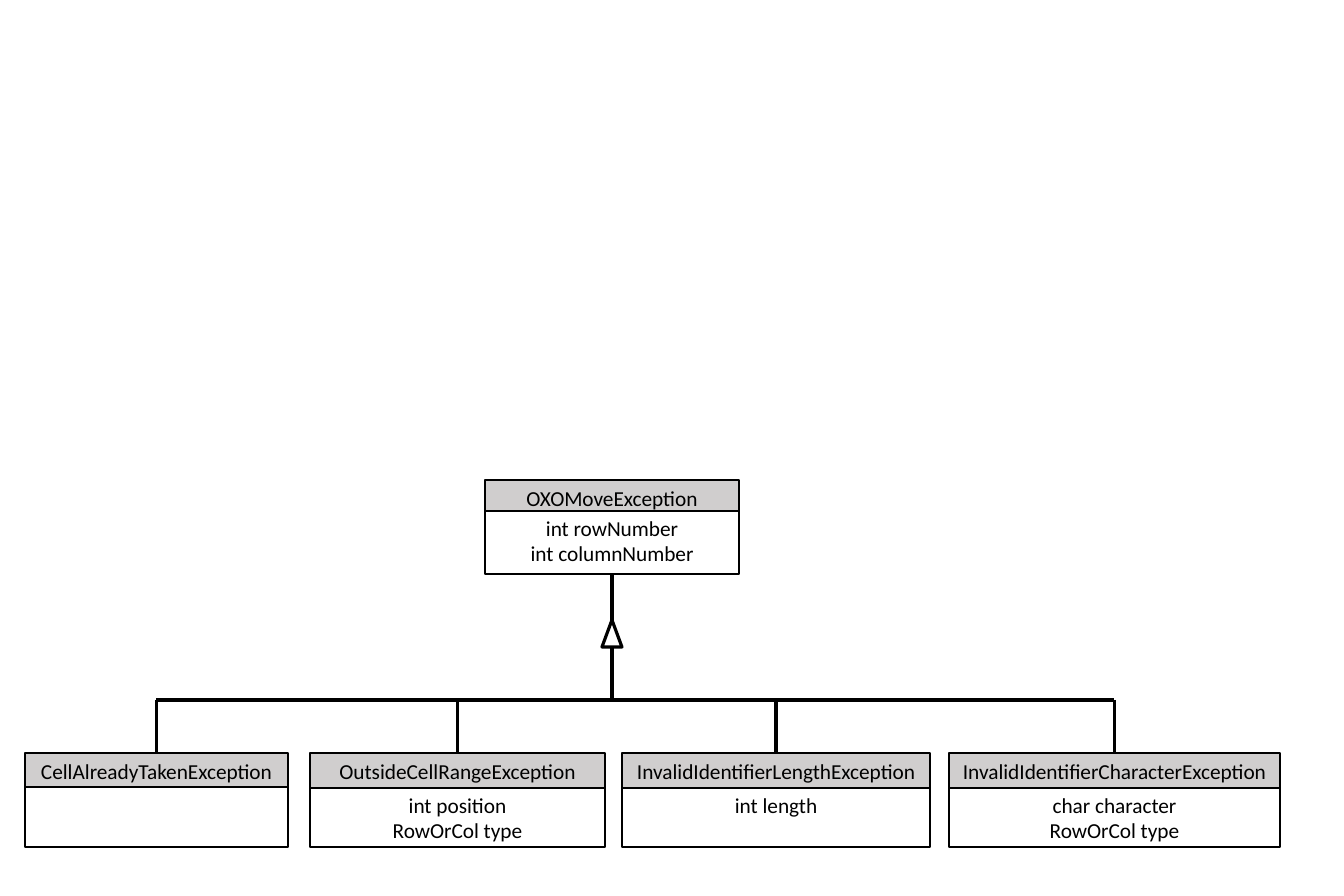
import pptx
import pptx.util
import pptx.dml.color
import pptx.enum.shapes
import pptx.enum.text
import pptx.oxml
import pptx.oxml.ns

SCALE = 914400 / 113.8
COLORS = {"header": "D0CECE", "body": "FFFFFF", "ink": "000000"}
PARENT_BOX = (485, 480, 254, 94)
PARENT_FIELDS = ["int rowNumber", "int columnNumber"]
CHILD_TOP, CHILD_HEIGHT = 753, 94
CHILDREN = [
    (25, 263, 34, "CellAlreadyTakenException", []),
    (310, 295, 35, "OutsideCellRangeException", ["int position", "RowOrCol type"]),
    (622, 308, 35, "InvalidIdentifierLengthException", ["int length"]),
    (949, 331, 35, "InvalidIdentifierCharacterException", ["char character", "RowOrCol type"]),
]


def emu(pixels):
    """Turn pixels into EMU."""
    return pptx.util.Emu(round(pixels * SCALE))


def color(name):
    """Look up a named colour."""
    return pptx.dml.color.RGBColor.from_string(COLORS[name])


def add_block(page, kind, box, fill, weight):
    """Add a filled, outlined shape without a shadow."""
    block = page.shapes.add_shape(kind, *map(emu, box))
    block.shadow.inherit = False
    block.fill.solid()
    block.fill.fore_color.rgb = color(fill)
    block.line.color.rgb = color("ink")
    block.line.width = pptx.util.Pt(weight)
    return block


def write_lines(block, lines, anchor):
    """Write centred lines of text, one paragraph each."""
    frame = block.text_frame
    frame.word_wrap = True
    frame.vertical_anchor = anchor
    frame.margin_left = frame.margin_right = emu(8)
    frame.margin_top = frame.margin_bottom = emu(4)
    for index, line in enumerate(lines):
        para = frame.add_paragraph() if index else frame.paragraphs[0]
        para.text = line
        para.alignment = pptx.enum.text.PP_ALIGN.CENTER
        para.font.name = "Calibri"
        para.font.size = pptx.util.Pt(13.5)
        para.font.color.rgb = color("ink")


def add_class(page, box, divider, name, fields):
    """Draw a class box with its name above its fields."""
    left, top, width, height = box
    rectangle = pptx.enum.shapes.MSO_SHAPE.RECTANGLE
    anchors = pptx.enum.text.MSO_ANCHOR
    header = add_block(page, rectangle, (left, top, width, 35), "header", 1)
    write_lines(header, [name], anchors.MIDDLE)
    body_box = (left, top + divider, width, height - divider)
    body = add_block(page, rectangle, body_box, "body", 1)
    write_lines(body, fields, anchors.TOP)


def add_line(page, start, end):
    """Draw a straight line between two points."""
    straight = pptx.enum.shapes.MSO_CONNECTOR.STRAIGHT
    line = page.shapes.add_connector(straight, *map(emu, start + end))
    line.line.color.rgb = color("ink")
    line.line.width = pptx.util.Pt(2)
    properties = line._element.spPr
    properties.append(pptx.oxml.parse_xml(
        f"<a:effectLst {pptx.oxml.ns.nsdecls('a')}/>"))


def add_inheritance(page, box, child_centers):
    """Join the children to their parent through a hollow triangle."""
    left, top, width, height = box
    center, bottom = left + width / 2, top + height
    tip, base, bus = top + 46, top + 73, top + 126
    add_line(page, (center, top), (center, tip))
    add_line(page, (center, base), (center, bus))
    add_line(page, (min(child_centers), bus), (max(child_centers), bus))
    for child_center in child_centers:
        add_line(page, (child_center, bus), (child_center, bottom))
    triangle = pptx.enum.shapes.MSO_SHAPE.ISOSCELES_TRIANGLE
    add_block(page, triangle, (center - 10, tip, 20, base - tip), "body", 2)


def main():
    """Build the class diagram and save it."""
    deck = pptx.Presentation()
    deck.slide_width, deck.slide_height = emu(1344), emu(896)
    page = deck.slides.add_slide(deck.slide_layouts[6])
    add_class(page, PARENT_BOX, 31, "OXOMoveException", PARENT_FIELDS)
    for left, width, divider, name, fields in CHILDREN:
        child_box = (left, CHILD_TOP, width, CHILD_HEIGHT)
        add_class(page, child_box, divider, name, fields)
    left, top, width, height = PARENT_BOX
    bottom = top + height
    centers = [child[0] + child[1] / 2 for child in CHILDREN]
    add_inheritance(page, (left, bottom, width, CHILD_TOP - bottom), centers)
    deck.save("out.pptx")


main()
